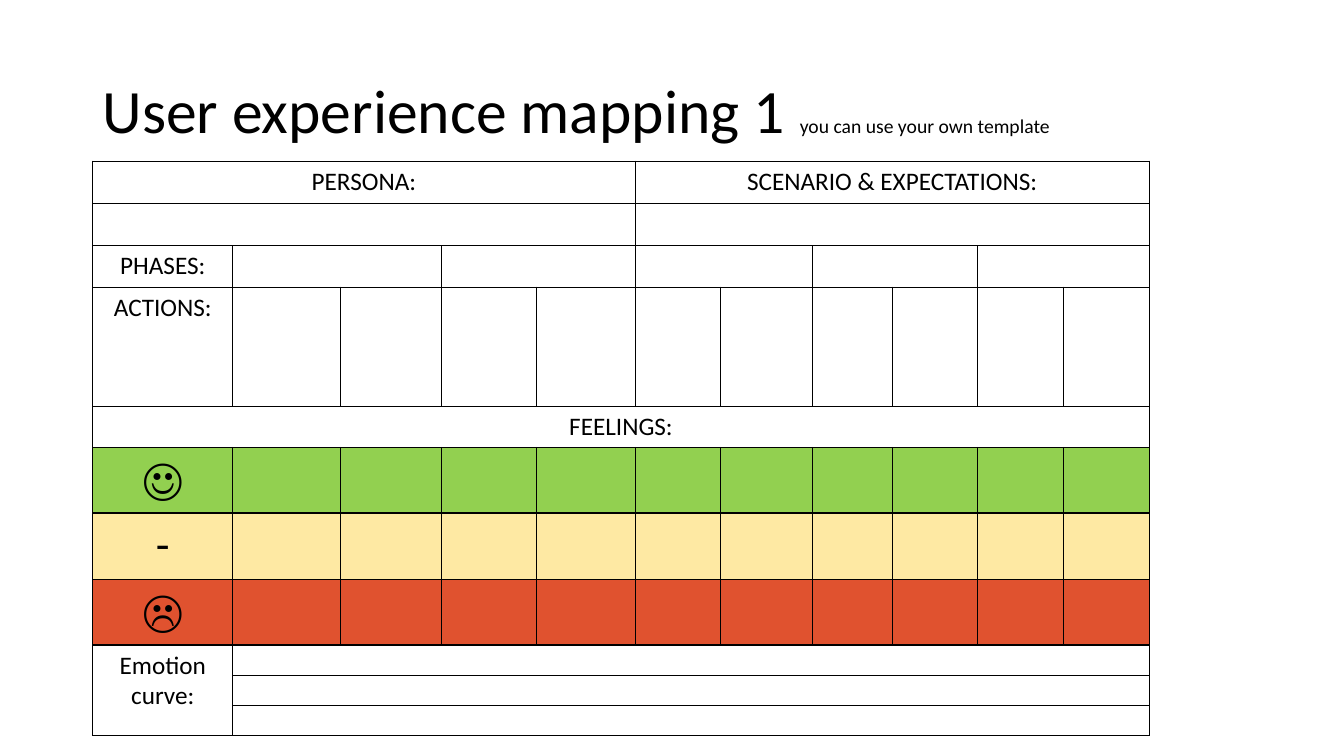
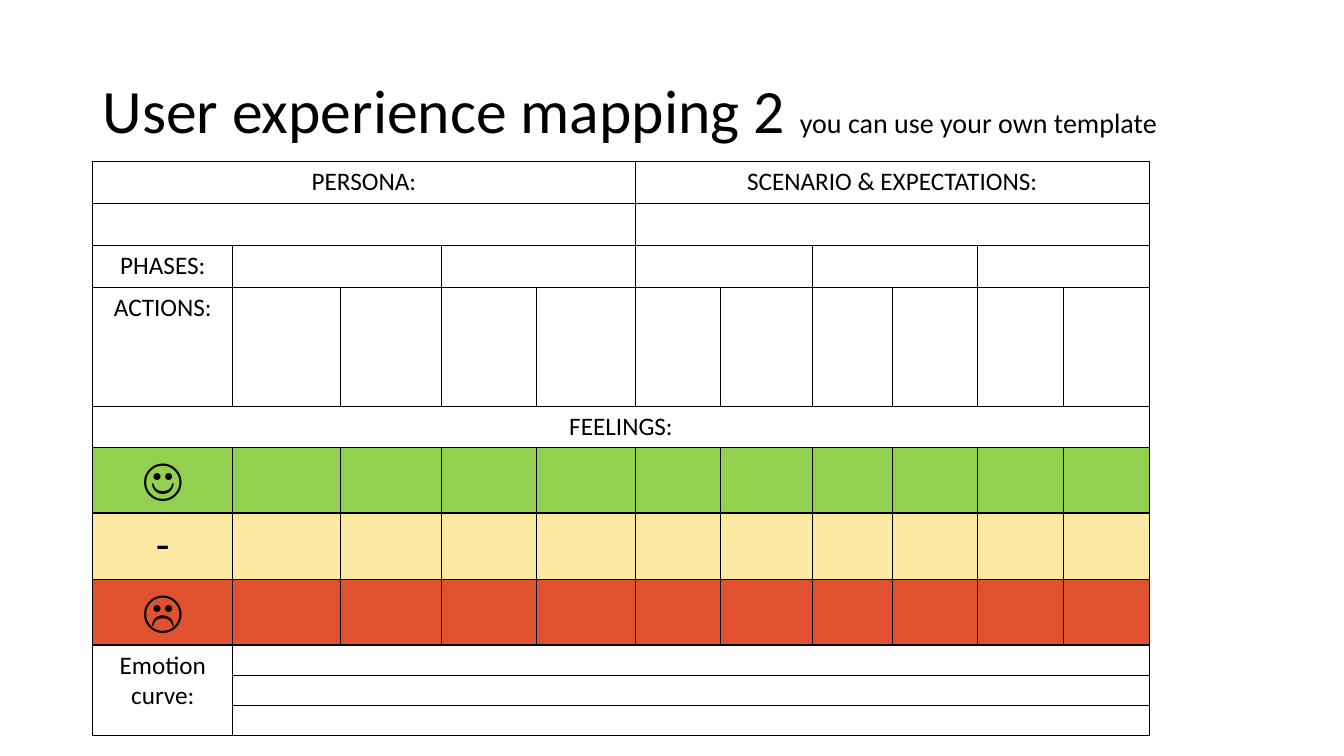
"""Builds two user experience mapping templates as table slides."""
import lxml.etree
import pptx
import pptx.dml.color
import pptx.enum.text
import pptx.oxml.ns
import pptx.util

PX = 9144
FONT = "Calibri"
BLACK, GREEN, YELLOW, RED = "000000", "92D050", "FEE9A3", "E0522F"
BORDER_POINTS = 1
TITLE_SIZE, LABEL_SIZE, MOOD_SIZE = 44, 18, 32
SLIDE_SIZE = (1333, 750)
TITLE_BOX = (92, 40, 1150, 145)
TABLE_LEFT, TABLE_TOP = 92, 160

HINT = "you can use your own template"
SLIDES = [("User experience mapping 1 ", 14), ("User experience mapping 2 ", 20)]

COLUMN_WIDTHS = [139, 107, 100, 94, 98, 85, 91, 79, 85, 85, 85]
HALVES = (5, 6)
PHASES = (1, 2, 2, 2, 2, 2)
SINGLES = (1,) * 11
CURVE = (1, 10)
CURVE_ROWS = (8, 10)

ROWS = [
    (42, HALVES, ["PERSONA:", "SCENARIO & EXPECTATIONS:"], LABEL_SIZE, None),
    (42, HALVES, [], LABEL_SIZE, None),
    (41, PHASES, ["PHASES:"], LABEL_SIZE, None),
    (118, SINGLES, ["ACTIONS:"], LABEL_SIZE, None),
    (41, (11,), ["FEELINGS:"], LABEL_SIZE, None),
    (65, SINGLES, ["☺"], MOOD_SIZE, GREEN),
    (66, SINGLES, ["-"], MOOD_SIZE, YELLOW),
    (65, SINGLES, ["☹"], MOOD_SIZE, RED),
    (30, CURVE, ["Emotion curve:"], LABEL_SIZE, None),
    (30, CURVE, [], LABEL_SIZE, None),
    (30, CURVE, [], LABEL_SIZE, None),
]


def px(*lengths):
    return [pptx.util.Emu(length * PX) for length in lengths]


def color(hex_text):
    return pptx.dml.color.RGBColor.from_string(hex_text)


def set_font(font, size):
    font.name = FONT
    font.size = pptx.util.Pt(size)
    font.bold = False
    font.color.rgb = color(BLACK)


def add_title(slide, title, hint_size):
    frame = slide.shapes.add_textbox(*px(*TITLE_BOX)).text_frame
    frame.word_wrap = True
    frame.vertical_anchor = pptx.enum.text.MSO_ANCHOR.MIDDLE
    paragraph = frame.paragraphs[0]
    paragraph.line_spacing = 0.9
    for text, size in ((title, TITLE_SIZE), (HINT, hint_size)):
        run = paragraph.add_run()
        run.text = text
        set_font(run.font, size)


def style_cell(cell, fill):
    qualified = pptx.oxml.ns.qn
    properties = cell._tc.get_or_add_tcPr()
    for side in ("L", "R", "T", "B"):
        line = lxml.etree.SubElement(properties, qualified(f"a:ln{side}"))
        line.set("w", str(pptx.util.Pt(BORDER_POINTS)))
        solid = lxml.etree.SubElement(line, qualified("a:solidFill"))
        lxml.etree.SubElement(solid, qualified("a:srgbClr")).set("val", BLACK)
    if fill:
        cell.fill.solid()
        cell.fill.fore_color.rgb = color(fill)
    else:
        cell.fill.background()


def write_label(cell, text, size):
    if not text:
        cell.margin_top = cell.margin_bottom = 0
        return
    paragraph = cell.text_frame.paragraphs[0]
    paragraph.text = text
    paragraph.alignment = pptx.enum.text.PP_ALIGN.CENTER
    set_font(paragraph.font, size)


def add_map(slide):
    width, height = sum(COLUMN_WIDTHS), sum(row[0] for row in ROWS)
    table = slide.shapes.add_table(
        len(ROWS), len(COLUMN_WIDTHS), *px(TABLE_LEFT, TABLE_TOP, width, height)).table
    table.first_row = table.horz_banding = False
    for column, column_width in zip(table.columns, px(*COLUMN_WIDTHS)):
        column.width = column_width
    for row_index, (row_height, spans, labels, size, fill) in enumerate(ROWS):
        table.rows[row_index].height = px(row_height)[0]
        starts = [sum(spans[:index]) for index in range(len(spans))]
        texts = dict(zip(starts, labels))
        for column_index in range(len(COLUMN_WIDTHS)):
            cell = table.cell(row_index, column_index)
            style_cell(cell, fill)
            write_label(cell, texts.get(column_index), size)
        for start, span in zip(starts, spans):
            if span > 1:
                table.cell(row_index, start).merge(table.cell(row_index, start + span - 1))
    first, last = CURVE_ROWS
    table.cell(first, 0).merge(table.cell(last, 0))


def main():
    presentation = pptx.Presentation()
    presentation.slide_width, presentation.slide_height = px(*SLIDE_SIZE)
    for title, hint_size in SLIDES:
        slide = presentation.slides.add_slide(presentation.slide_layouts[6])
        add_title(slide, title, hint_size)
        add_map(slide)
    presentation.save("out.pptx")


if __name__ == "__main__":
    main()
